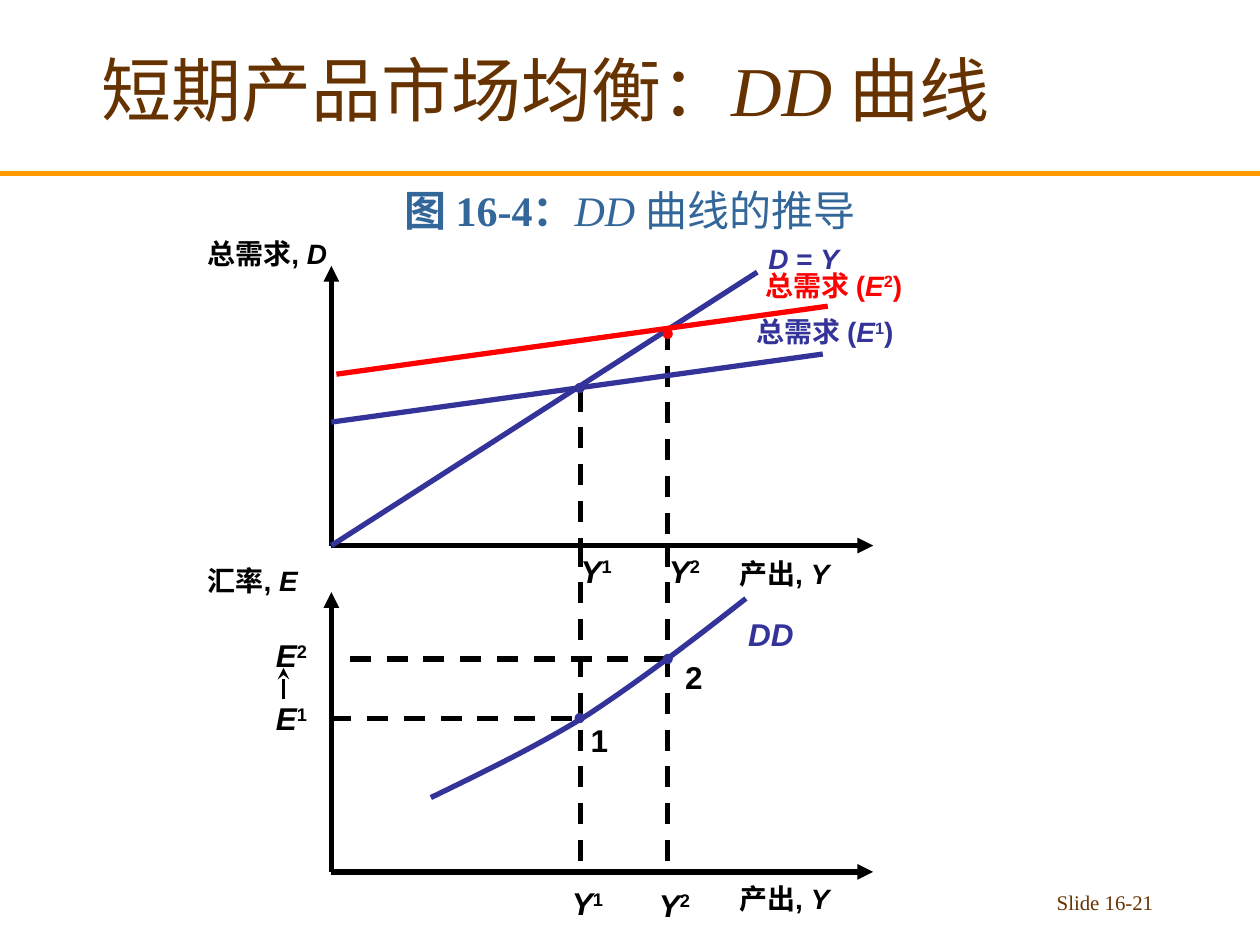
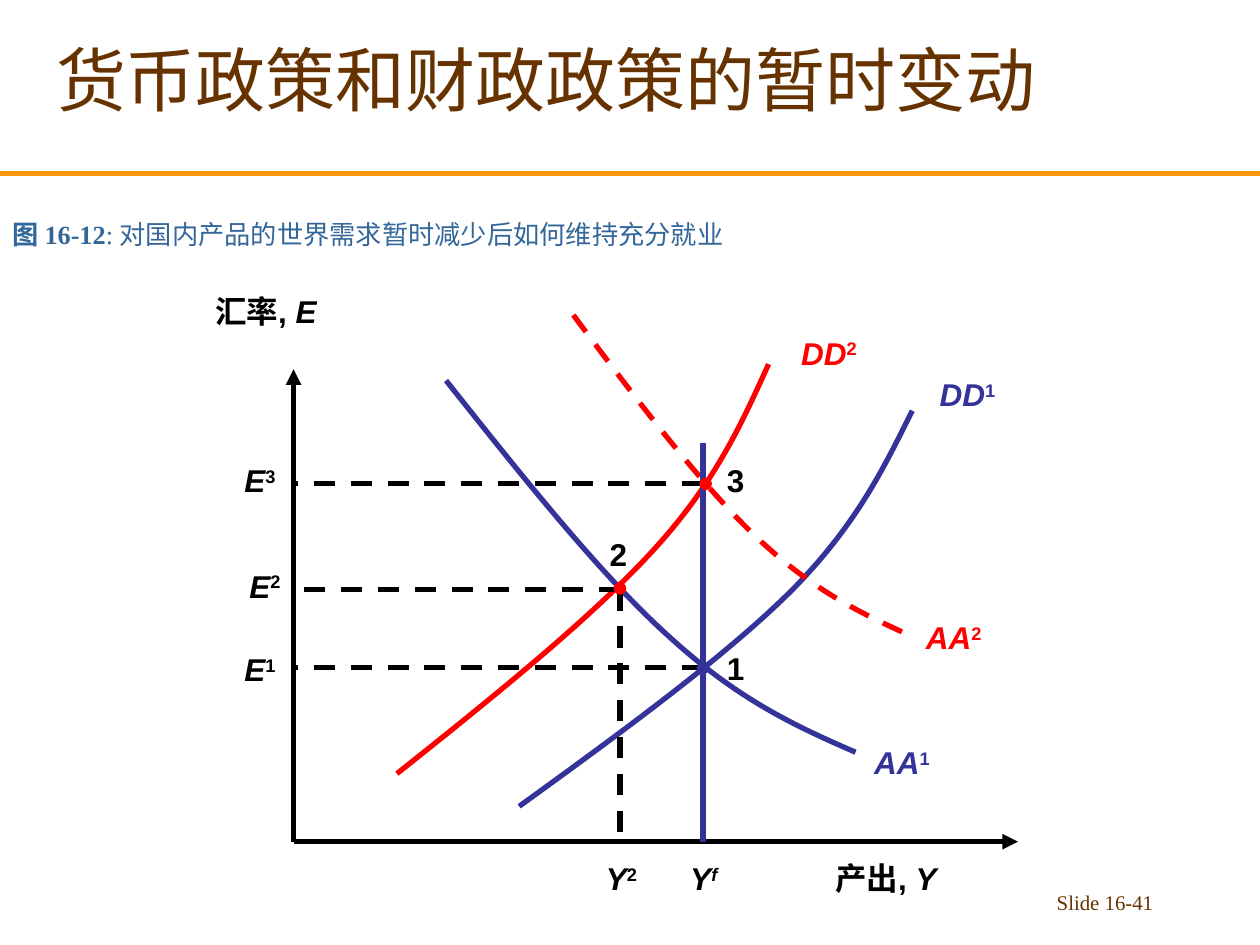
from lxml import etree
from pptx import Presentation
from pptx.dml.color import RGBColor
from pptx.enum.dml import MSO_LINE
from pptx.enum.shapes import MSO_CONNECTOR, MSO_SHAPE
from pptx.enum.text import MSO_ANCHOR, MSO_AUTO_SIZE, PP_ALIGN
from pptx.oxml.ns import qn
from pptx.util import Inches, Pt

DASH = MSO_LINE.DASH
STRAIGHT = MSO_CONNECTOR.STRAIGHT
OVAL = MSO_SHAPE.OVAL
TOP, MIDDLE, BOTTOM = MSO_ANCHOR.TOP, MSO_ANCHOR.MIDDLE, MSO_ANCHOR.BOTTOM
LEFT, CENTER, RIGHT = PP_ALIGN.LEFT, PP_ALIGN.CENTER, PP_ALIGN.RIGHT
FIT = MSO_AUTO_SIZE.SHAPE_TO_FIT_TEXT

COLORS = {
    "title": "663300",
    "caption": "336699",
    "rule": "FF9900",
    "axis": "000000",
    "base": "333399",
    "shift": "FF0000",
}
SERIF, SANS = "Times New Roman", "Arial"

# The slide is a grid of 10 columns and 7.5 rows of square cells
COLUMNS, ROWS = 10, 7.5
CELL = Inches(1)
RULE_ROW = 1.38
LINE_WIDTH = 3
SYMBOL, DIGIT, CURVE_NAME = 0.45, 0.34, 0.64  # label widths in columns


def cells(*lengths):
    return [round(length * CELL) for length in lengths]


def color(name):
    return RGBColor.from_string(COLORS[name])


# Text: spans are (text, flags) with b = bold, i = italic, s = superscript
def add_text(page, spans, area, size=18, tint="axis", font=SANS,
             align=LEFT, anchor=TOP, wrap=True):
    box = page.shapes.add_textbox(*cells(*area))
    frame = box.text_frame
    frame.word_wrap = wrap
    frame.vertical_anchor = anchor
    if not wrap:
        frame.auto_size = FIT
    para = frame.paragraphs[0]
    para.alignment = align
    for text, flags in spans:
        span = para.add_run()
        span.text = text
        span.font.name = font
        span.font.size = Pt(size)
        span.font.color.rgb = color(tint)
        span.font.bold = "b" in flags
        span.font.italic = "i" in flags
        if "s" in flags:
            span._r.get_or_add_rPr().set("baseline", "30000")


def add_label(page, spans, left, top, width, size=18, tint="axis"):
    height = 0.4 if size == 18 else 0.37
    add_text(page, spans, (left, top, width, height), size, tint, wrap=False)


def indexed(name, index, flags="bs"):
    return [(name, "bi"), (index, flags)]


def quantity(words, symbol):
    return [(words + ", ", "b"), (symbol, "bi")]


def demand(index):
    return [("总需求 (", "b"), *indexed("E", index), (")", "b")]


# Lines, curves and points
def style_line(shape, tint, width=LINE_WIDTH, dashed=False):
    shape.line.color.rgb = color(tint)
    shape.line.width = Pt(width)
    if dashed:
        shape.line.dash_style = DASH


def add_line(page, start, end, tint="axis", width=LINE_WIDTH, dashed=False,
             arrow=None):
    line = page.shapes.add_connector(STRAIGHT, *cells(*start, *end))
    style_line(line, tint, width, dashed)
    properties = line._element.spPr
    if arrow:
        tip = etree.SubElement(properties.find(qn("a:ln")), qn("a:tailEnd"))
        tip.set("type", arrow)
    etree.SubElement(properties, qn("a:effectLst"))


def add_curve(page, points, tint, dashed=False):
    """Draw Bezier arcs: a start, then two handles and an end for each arc."""
    start, *rest = [cells(*point) for point in points]
    builder = page.shapes.build_freeform(*start)
    builder.add_line_segments(rest, close=False)
    curve = builder.convert_to_shape()
    outline = curve._element.spPr.find(".//" + qn("a:path"))
    for number, segment in enumerate(outline.findall(qn("a:lnTo"))):
        if number % 3 == 0:
            arc = etree.SubElement(outline, qn("a:cubicBezTo"))
        arc.append(segment[0])
        outline.remove(segment)
    curve.shadow.inherit = False
    curve.fill.background()
    style_line(curve, tint, dashed=dashed)


def add_point(page, x, y, tint, size):
    area = cells(x - size / 2, y - size / 2, size, size)
    point = page.shapes.add_shape(OVAL, *area)
    point.shadow.inherit = False
    point.fill.solid()
    point.fill.fore_color.rgb = color(tint)
    style_line(point, tint, 0.75)


def add_axes(page, origin, top, right):
    x, y = origin
    add_line(page, origin, (x, top), arrow="triangle")
    add_line(page, origin, (right, y), arrow="triangle")


# Parts that both slides share
def add_page(deck, number, title, title_top, caption, caption_area, **caption_format):
    page = deck.slides.add_slide(deck.slide_layouts[6])
    add_line(page, (0, RULE_ROW), (COLUMNS, RULE_ROW), "rule")
    add_text(page, title, (0.08, title_top, 8.5, 1.25), 40, "title", SERIF,
             CENTER, MIDDLE)
    add_text(page, caption, caption_area, tint="caption", font=SERIF,
             anchor=BOTTOM, **caption_format)
    add_text(page, [(f"Slide {number}", "")], (7.17, 7.01, 2.08, 0.34), 11.9,
             "title", SERIF, RIGHT)
    return page


def build_dd_derivation(deck):
    page = add_page(
        deck, "16-21",
        [("短期产品市场均衡：", ""), ("DD ", "i"), ("曲线", "")], 0.08,
        [("图 16-4：", "b"), ("DD ", "i"), ("曲线的推导", "")],
        (0, 1.33, COLUMNS, 0.58), size=24, align=CENTER)
    axis_x, axis_end = 2.63, 6.93
    upper, lower = 4.33, 6.92
    output_1, output_2 = 4.61, 5.3
    rate_1, rate_2 = 5.7, 5.23

    # Axes of the two stacked diagrams
    for base, top, words, symbol, width in (
            (upper, 2.11, "总需求", "D", 1.2), (lower, 4.7, "汇率", "E", 0.97)):
        add_axes(page, (axis_x, base), top, axis_end)
        add_label(page, quantity(words, symbol), 1.55, top - 0.28, width, 16)
    for top in (4.37, 6.95):
        add_label(page, quantity("产出", "Y"), 5.77, top, 0.97, 16)

    # Dashed guides
    for x, top in ((output_1, 3.1), (output_2, 2.61)):
        add_line(page, (x, top), (x, upper), dashed=True)
        add_line(page, (x, upper), (x, lower), dashed=True)
    for x, y in ((4.54, rate_1), (5.28, rate_2)):
        add_line(page, (x, y), (axis_x, y), dashed=True)

    # Demand lines
    add_line(page, (axis_x, upper), (6.01, 2.16), "base")
    add_line(page, (axis_x, 3.35), (6.53, 2.81), "base")
    add_line(page, (2.67, 2.97), (6.57, 2.43), "shift")
    add_label(page, [("D", "bi"), (" = ", "b"), ("Y", "bi")], 6, 1.87, 0.76,
              16, "base")
    add_label(page, demand("2"), 5.98, 2.08, 1.34, 16, "shift")
    add_label(page, demand("1"), 5.91, 2.45, 1.34, 16, "base")

    # DD curve and equilibrium points
    add_curve(page, [(3.42, 6.33), (3.83, 6.13), (4.25, 5.93), (4.67, 5.67),
                     (5.08, 5.4), (5.5, 5.08), (5.92, 4.75)], "base")
    add_label(page, [("DD", "bi")], 5.84, 4.83, 0.56, tint="base")
    for x, y, tint in ((4.6, 3.08, "base"), (output_2, 2.65, "shift"),
                       (4.6, rate_1, "base"), (output_2, rate_2, "base")):
        add_point(page, x, y, tint, 0.07)

    # Values on the axes and point numbers
    for name, index, left, top in (
            ("Y", "1", 4.51, 4.33), ("Y", "2", 5.21, 4.33),
            ("Y", "1", 4.44, 6.97), ("Y", "2", 5.13, 6.98),
            ("E", "1", 2.09, 5.5), ("E", "2", 2.09, 5)):
        add_label(page, indexed(name, index), left, top, SYMBOL)
    for number, left, top in (("1", 4.59, 5.67), ("2", 5.34, 5.17)):
        add_label(page, [(number, "b")], left, top, DIGIT)
    add_line(page, (2.25, 5.55), (2.25, 5.3), width=2.25, arrow="stealth")


def build_policy_shift(deck):
    page = add_page(
        deck, "16-41", [("货币政策和财政政策的暂时变动", "")], 0,
        [("图 16-12", "b"), (": 对国内产品的世界需求暂时减少后如何维持充分就业", "")],
        (0, 1.67, COLUMNS, 0.36), size=15)
    axis_x, base = 2.33, 6.68
    full_output, low_output = 5.58, 4.92
    rate_1, rate_2, rate_3 = 5.3, 4.68, 3.84

    # Axes
    add_axes(page, (axis_x, base), 2.93, 8.08)
    add_label(page, quantity("汇率", "E"), 1.61, 2.27, 1.2)
    add_label(page, quantity("产出", "Y"), 6.53, 6.77, 1.2)

    # DD and AA curves with their names
    for name, index, tint, dashed, left, top, points in (
            ("DD", "1", "base", False, 7.36, 2.93,
             [(4.12, 6.4), (4.95, 5.8), (5.77, 5.2), (6.29, 4.68),
              (6.81, 4.15), (7.02, 3.7), (7.24, 3.26)]),
            ("AA", "2", "shift", True, 7.25, 4.86,
             [(4.55, 2.5), (5.05, 3.17), (5.55, 3.83), (5.99, 4.25),
              (6.43, 4.67), (6.8, 4.85), (7.17, 5.02)]),
            ("AA", "1", "base", False, 6.84, 5.85,
             [(3.54, 3.02), (4.16, 3.8), (4.78, 4.58), (5.33, 5.07),
              (5.87, 5.56), (6.33, 5.77), (6.79, 5.97)]),
            ("DD", "2", "shift", False, 6.26, 2.6,
             [(3.15, 6.14), (3.93, 5.52), (4.71, 4.89), (5.2, 4.35),
              (5.69, 3.81), (5.89, 3.35), (6.1, 2.89)])):
        add_curve(page, points, tint, dashed)
        add_label(page, indexed(name, index), left, top, CURVE_NAME, tint=tint)

    # Full-employment line and dashed guides
    add_line(page, (full_output, 3.52), (full_output, base), "base")
    for x, y in ((low_output, rate_2), (full_output, rate_1),
                 (full_output, rate_3)):
        add_line(page, (x, y), (axis_x, y), dashed=True)
    add_line(page, (low_output, rate_2), (low_output, base), dashed=True)

    # Equilibrium points with their numbers
    for number, x, y, tint, left, top in (
            ("1", full_output, rate_1, "base", 5.67, 5.1),
            ("2", low_output, rate_2 - 0.01, "shift", 4.74, 4.2),
            ("3", full_output + 0.02, rate_3, "shift", 5.67, 3.61)):
        add_point(page, x, y, tint, 0.09)
        add_label(page, [(number, "b")], left, top, DIGIT)

    # Values on the axes
    for name, index, left, top in (
            ("E", "1", 1.84, 5.11), ("E", "2", 1.88, 4.45),
            ("E", "3", 1.84, 3.61), ("Y", "2", 4.71, 6.77)):
        add_label(page, indexed(name, index), left, top, SYMBOL)
    add_label(page, indexed("Y", "f", "bis"), 5.38, 6.77, 0.5)


def main():
    deck = Presentation()
    deck.slide_width, deck.slide_height = cells(COLUMNS, ROWS)
    build_dd_derivation(deck)
    build_policy_shift(deck)
    deck.save("out.pptx")


if __name__ == "__main__":
    main()
